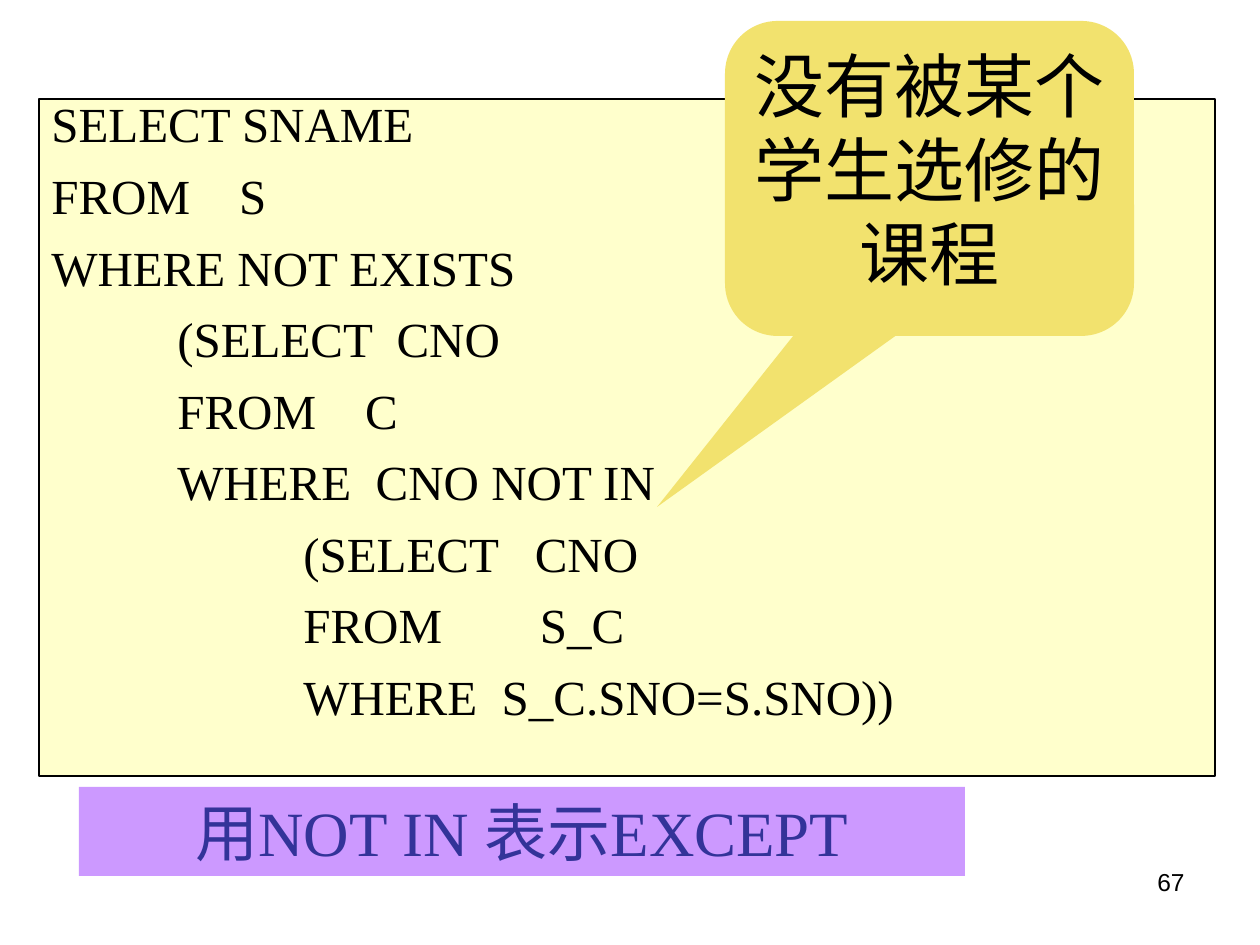
import lxml.etree
import pptx
import pptx.dml.color
import pptx.enum.shapes
import pptx.enum.text
import pptx.oxml.ns
import pptx.util

PX = 9144000 // 1260  # EMU per px: 126 px to the inch
SHAPE = pptx.enum.shapes.MSO_SHAPE
ALIGN = pptx.enum.text.PP_ALIGN
SERIF = "Times New Roman"
TAB = 126  # px between tab stops

QUERY = [
    "SELECT SNAME",
    "FROM    S",
    "WHERE NOT EXISTS",
    "\t(SELECT  CNO",
    "\tFROM    C",
    "\tWHERE  CNO NOT IN",
    "\t\t(SELECT   CNO",
    "\t\tFROM        S_C",
    "\t\tWHERE  S_C.SNO=S.SNO))",
]


def color(value):
    return pptx.dml.color.RGBColor.from_string(value)


def to_emu(box):
    return [length * PX for length in box]


def add_tab_stops(para, count):
    qn = pptx.oxml.ns.qn
    stops = lxml.etree.SubElement(para._p.get_or_add_pPr(), qn("a:tabLst"))
    for number in range(1, count + 1):
        lxml.etree.SubElement(stops, qn("a:tab"), pos=str(number * TAB * PX), algn="l")


def write(shape, lines, size, ink="000000", font=SERIF, align=ALIGN.LEFT,
          spacing=1.0, gap=0):
    frame = shape.text_frame
    frame.word_wrap = True
    frame.vertical_anchor = pptx.enum.text.MSO_ANCHOR.TOP
    frame.text = "\n".join(lines)
    for index, para in enumerate(frame.paragraphs):
        para.alignment = align
        para.line_spacing = spacing
        para.space_before = pptx.util.Pt(gap if index else 0)
        depth = lines[index].count("\t")
        if depth:
            add_tab_stops(para, depth)
        for span in para.runs:
            span.font.size = pptx.util.Pt(size)
            span.font.name = font
            span.font.color.rgb = color(ink)


def add_panel(page, kind, box, fill, line=None):
    panel = page.shapes.add_shape(kind, *to_emu(box))
    panel.shadow.inherit = False
    panel.fill.solid()
    panel.fill.fore_color.rgb = color(fill)
    if line:
        panel.line.color.rgb = color(line)
        panel.line.width = pptx.util.Pt(0.75)
    else:
        panel.line.fill.background()
    return panel


def add_page_number(page, box, number):
    label = page.shapes.add_textbox(*to_emu(box))
    write(label, [number], 14, font="Arial", align=ALIGN.RIGHT)


def add_query(page, box):
    panel = add_panel(page, SHAPE.RECTANGLE, box, "FFFFCC", "000000")
    write(panel, QUERY, 28, spacing=0.8, gap=14)


def add_caption(page, box, text):
    panel = add_panel(page, SHAPE.RECTANGLE, box, "CC99FF")
    write(panel, [text], 36, ink="333399", align=ALIGN.CENTER)


def add_callout(page, box, text, tip):
    """Place a speech bubble whose tail ends at tip, measured from its box."""
    bubble = add_panel(page, SHAPE.ROUNDED_RECTANGULAR_CALLOUT, box, "F2E26E")
    width, height = box[2:]
    bubble.adjustments[0] = tip[0] / width - 0.5
    bubble.adjustments[1] = tip[1] / height - 0.5
    bubble.adjustments[2] = 0.167
    write(bubble, [text], 40, align=ALIGN.CENTER)


def main():
    deck = pptx.Presentation()
    deck.slide_width, deck.slide_height = to_emu((1260, 945))
    page = deck.slides.add_slide(deck.slide_layouts[6])

    add_page_number(page, (903, 861, 294, 65), "67")
    add_query(page, (39, 99, 1176, 677))
    add_caption(page, (79, 787, 886, 89), "用NOT IN 表示EXCEPT")
    add_callout(page, (725, 21, 409, 315), "没有被某个学生选修的课程", (-68, 486))

    deck.save("out.pptx")


if __name__ == "__main__":
    main()
